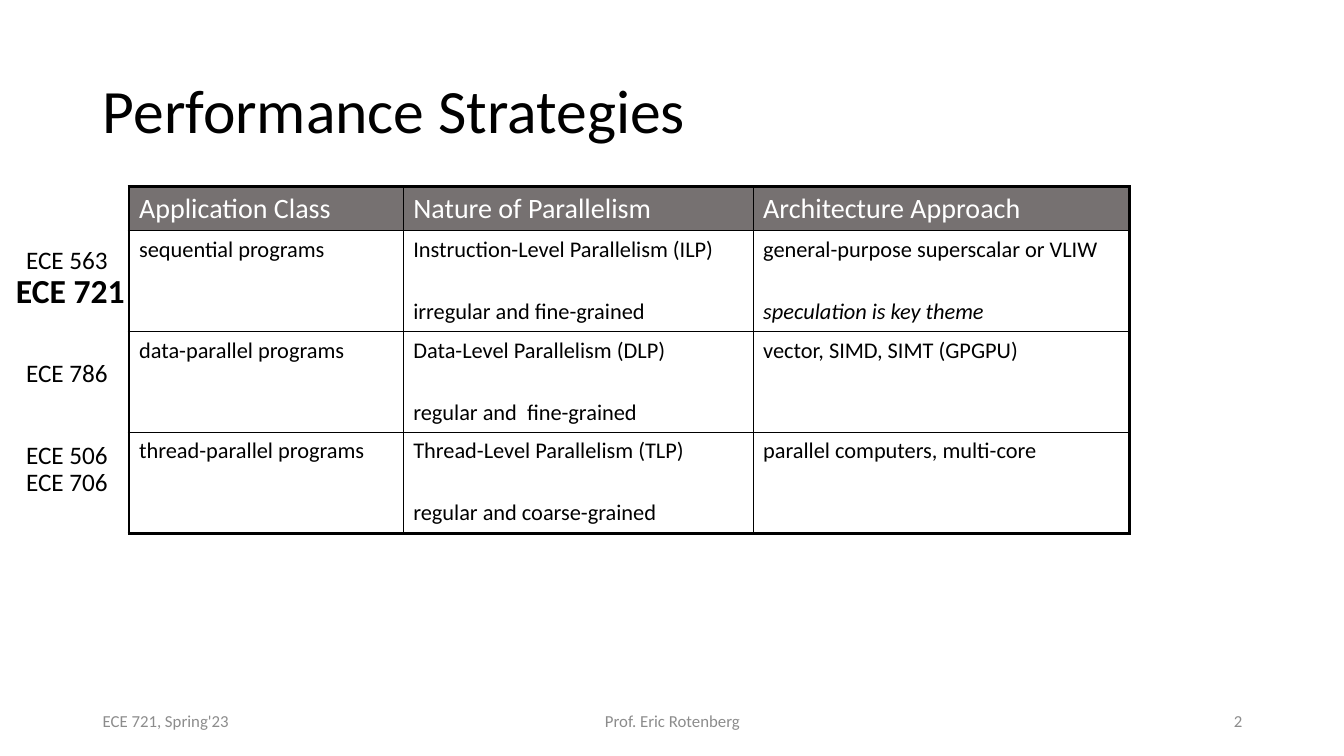
from dataclasses import dataclass

from lxml import etree
from pptx import Presentation
from pptx import util as u
from pptx.dml.color import RGBColor
from pptx.enum import text
from pptx.oxml import ns


@dataclass(frozen=True)
class Theme:
    font: str = "Calibri"
    ink: str = "000000"
    paper: str = "FFFFFF"
    head: str = "767171"
    mute: str = "8C8C8C"
    title: int = 44
    strong: int = 24
    header: int = 20
    label: int = 18
    body: int = 16
    foot: int = 12
    gap: float = 24.8
    thin: float = 1
    thick: float = 2.25


T = Theme()
LEFT, MID, RIGHT = text.PP_ALIGN.LEFT, text.PP_ALIGN.CENTER, text.PP_ALIGN.RIGHT

COLS = (2.72, 3.47, 3.73)
ROWS = (0.44, 1, 1, 1)
CELLS = (
    ("Application Class", "Nature of Parallelism", "Architecture Approach"),
    ("sequential programs",
     "Instruction-Level Parallelism (ILP)\nirregular and fine-grained",
     "general-purpose superscalar or VLIW\nspeculation is key theme"),
    ("data-parallel programs",
     "Data-Level Parallelism (DLP)\nregular and  fine-grained",
     "vector, SIMD, SIMT (GPGPU)"),
    ("thread-parallel programs",
     "Thread-Level Parallelism (TLP)\nregular and coarse-grained",
     "parallel computers, multi-core"),
)
THEME_LINE = "speculation is key theme"

# Course beside each table row: name, left, top, width, height, size, bold
COURSES = (
    ("ECE 563", 0.16, 2.37, 1.02, 0.4, T.label, False),
    ("ECE 721", 0.06, 2.63, 1.29, 0.5, T.strong, True),
    ("ECE 786", 0.16, 3.5, 1.02, 0.4, T.label, False),
    ("ECE 506", 0.16, 4.31, 1.02, 0.4, T.label, False),
    ("ECE 706", 0.16, 4.58, 1.02, 0.4, T.label, False),
)
# Footer parts: words, left, width, alignment
FOOT = (
    ("ECE 721, Spring'23", 0.92, 3, LEFT),
    ("Prof. Eric Rotenberg", 4.42, 4.5, MID),
    ("2", 9.42, 3, RIGHT),
)


def style(para, size, color, bold=False, align=LEFT):
    para.alignment = align
    for run in para.runs:
        run.font.name = T.font
        run.font.size = u.Pt(size)
        run.font.bold = bold
        run.font.color.rgb = RGBColor.from_string(color)


def add_title(slide, words):
    title = slide.shapes.title
    title.left, title.top = u.Inches(0.92), u.Inches(0.4)
    title.width, title.height = u.Inches(11.5), u.Inches(1.45)
    frame = title.text_frame
    frame.text = words
    frame.auto_size = text.MSO_AUTO_SIZE.NONE
    frame.vertical_anchor = text.MSO_ANCHOR.MIDDLE
    frame.paragraphs[0].line_spacing = 0.9
    style(frame.paragraphs[0], T.title, T.ink)


def add_text(slide, words, box, size, color, bold=False, align=LEFT,
             wrap=True, anchor=text.MSO_ANCHOR.TOP):
    frame = slide.shapes.add_textbox(*map(u.Inches, box)).text_frame
    frame.text = words
    frame.word_wrap = wrap
    frame.vertical_anchor = anchor
    style(frame.paragraphs[0], size, color, bold, align)


def add_edge(cell, side, width):
    props = cell._tc.get_or_add_tcPr()
    line = etree.SubElement(props, ns.qn("a:ln" + side), w=str(u.Pt(width)))
    fill = etree.SubElement(line, ns.qn("a:solidFill"))
    etree.SubElement(fill, ns.qn("a:srgbClr"), val=T.ink)


def fill_cell(cell, words, row, col):
    # Thick lines run round the table, thin ones inside it
    outer = (("L", col == 0), ("R", col == len(COLS) - 1),
             ("T", row == 0), ("B", row == len(ROWS) - 1))
    for side, edge in outer:
        add_edge(cell, side, T.thick if edge else T.thin)
    if row == 0:
        cell.fill.solid()
        cell.fill.fore_color.rgb = RGBColor.from_string(T.head)
        size, color = T.header, T.paper
    else:
        cell.fill.background()
        size, color = T.body, T.ink
    cell.text_frame.text = words
    for i, para in enumerate(cell.text_frame.paragraphs):
        style(para, size, color)
        para.space_before = u.Pt(T.gap if i else 0)
        if para.text == THEME_LINE:
            para.runs[0].font.italic = True


def add_grid(slide):
    box = (1.28, 1.85, sum(COLS), sum(ROWS))
    grid = slide.shapes.add_table(len(ROWS), len(COLS),
                                  *map(u.Inches, box)).table
    for col, width in zip(grid.columns, COLS):
        col.width = u.Inches(width)
    for row, height in zip(grid.rows, ROWS):
        row.height = u.Inches(height)
    for r, line in enumerate(CELLS):
        for c, words in enumerate(line):
            fill_cell(grid.cell(r, c), words, r, c)


def main():
    deck = Presentation()
    deck.slide_width, deck.slide_height = u.Inches(13.33), u.Inches(7.5)
    slide = deck.slides.add_slide(deck.slide_layouts[5])

    # Title and table
    add_title(slide, "Performance Strategies")
    add_grid(slide)

    # Course labels
    for name, left, top, width, height, size, bold in COURSES:
        add_text(slide, name, (left, top, width, height), size, T.ink,
                 bold, wrap=False)

    # Footer
    for words, left, width, align in FOOT:
        add_text(slide, words, (left, 6.95, width, 0.4), T.foot, T.mute,
                 align=align, anchor=text.MSO_ANCHOR.MIDDLE)

    deck.save("out.pptx")


if __name__ == "__main__":
    main()
